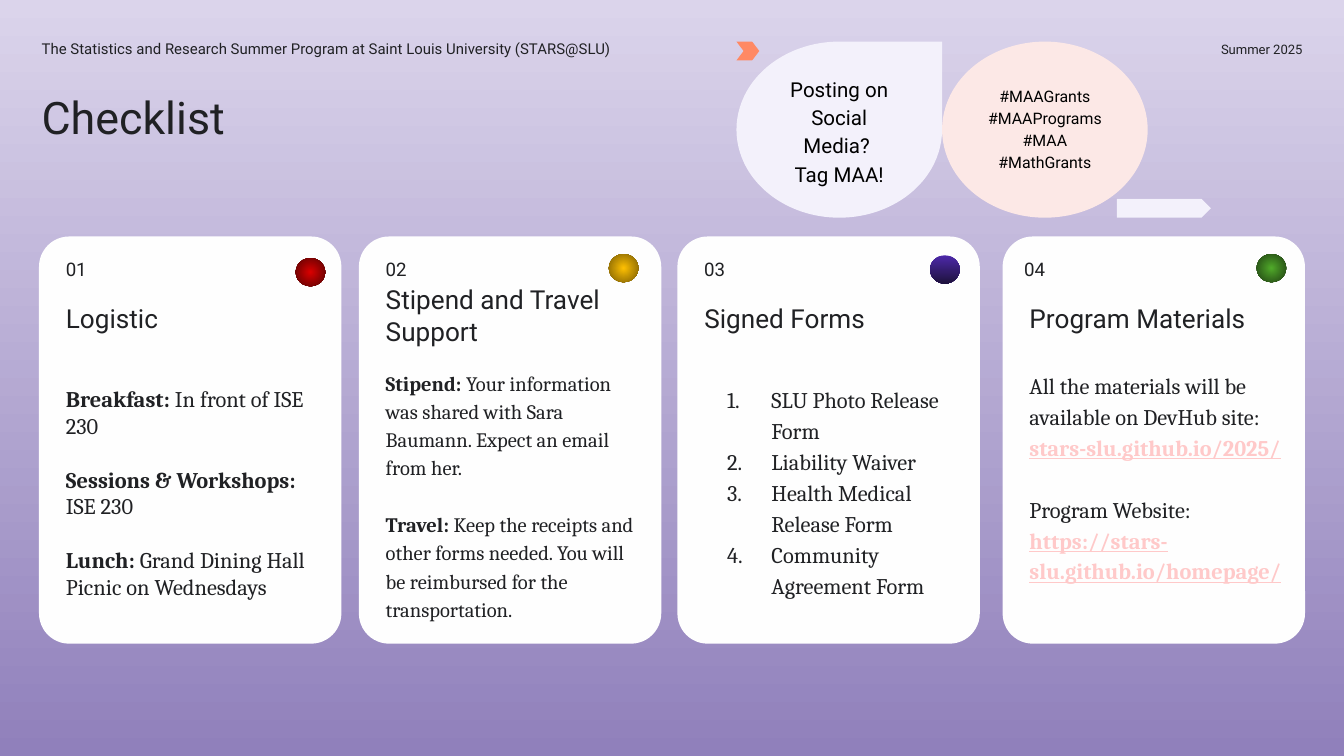
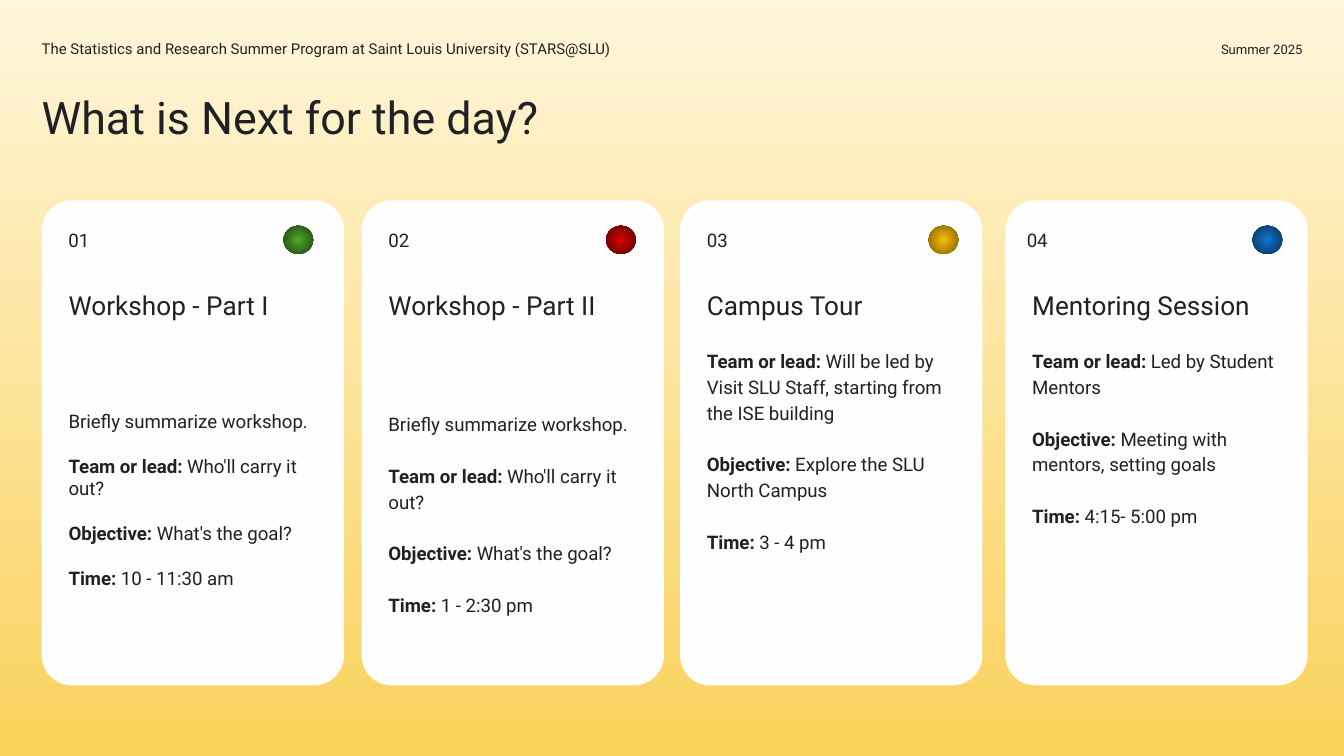
from lxml import etree
from pptx import Presentation
from pptx.dml.color import RGBColor
from pptx.enum.shapes import MSO_SHAPE
from pptx.enum.text import MSO_ANCHOR, PP_ALIGN
from pptx.oxml.ns import qn
from pptx.util import Inches, Pt

TOP, MIDDLE, BOTTOM = MSO_ANCHOR.TOP, MSO_ANCHOR.MIDDLE, MSO_ANCHOR.BOTTOM
LEFT, CENTER, RIGHT = PP_ALIGN.LEFT, PP_ALIGN.CENTER, PP_ALIGN.RIGHT
CARD, DOT = MSO_SHAPE.ROUNDED_RECTANGLE, MSO_SHAPE.OVAL
TEARDROP, PENTAGON, CHEVRON = MSO_SHAPE.TEAR, MSO_SHAPE.PENTAGON, MSO_SHAPE.CHEVRON

COLORS = {
    "ink": "202124", "black": "000000", "link": "FFC9C9", "card": "FEFEFE",
    "lavender": "F3F1FB", "blush": "FCE8E6", "coral": "FF8964",
}
GRADIENTS = {
    "purple page": ("DBD4EB", "9080BB"), "yellow page": ("FFF6DB", "FAD15C"),
    "red": ("DB0000", "540303"), "yellow": ("FFC102", "795C04"),
    "violet": ("4D29AA", "1E123D"), "green": ("51AB2A", "203E13"),
    "blue": ("1076D2", "093053"),
}
CARD_LEFTS = (0.29, 2.67, 5.04, 7.46)
CARD_WIDTH = 2.25
SIDE_INSETS = (0.2, 0, 0.2, 0)


def add_shape(slide, kind, box, fill, adjustment=None):
    shape = slide.shapes.add_shape(kind, *[Inches(value) for value in box])
    shape.shadow.inherit = False
    shape.line.fill.background()
    if adjustment is not None:
        shape.adjustments[0] = adjustment
    if fill in COLORS:
        shape.fill.solid()
        shape.fill.fore_color.rgb = RGBColor.from_string(COLORS[fill])
        return shape
    shape.fill.gradient()
    shape.fill.gradient_angle = 270
    for stop, color in zip(shape.fill.gradient_stops, GRADIENTS[fill]):
        stop.color.rgb = RGBColor.from_string(color)
    if fill != "violet":
        gradient = shape._element.spPr.find(qn("a:gradFill"))
        gradient.remove(gradient.find(qn("a:lin")))
        circle = etree.SubElement(gradient, qn("a:path"), {"path": "circle"})
        etree.SubElement(circle, qn("a:fillToRect"), {side: "50000" for side in "ltrb"})
    return shape


def add_text(slide, target, paragraphs, size, font="Roboto", color="ink", spacing=1.0,
             anchor=TOP, align=LEFT, insets=(0, 0, 0, 0), numbered=False):
    if isinstance(target, tuple):
        target = slide.shapes.add_textbox(*[Inches(value) for value in target])
    frame = target.text_frame
    frame.word_wrap = True
    frame.vertical_anchor = anchor
    frame.margin_left, frame.margin_top, frame.margin_right, frame.margin_bottom = [
        Inches(value) for value in insets]
    for index, (gap, runs) in enumerate(paragraphs):
        paragraph = frame.paragraphs[0] if index == 0 else frame.add_paragraph()
        paragraph.alignment = align
        paragraph.line_spacing = spacing
        if gap:
            paragraph.space_before = Pt(gap)
        if numbered:
            properties = paragraph._p.get_or_add_pPr()
            properties.set("marL", str(Inches(0.5)))
            properties.set("indent", str(Inches(-0.33)))
            bullet_color = etree.SubElement(properties, qn("a:buClr"))
            etree.SubElement(bullet_color, qn("a:srgbClr"), {"val": COLORS[color]})
            etree.SubElement(properties, qn("a:buAutoNum"), {"type": "arabicPeriod"})
        for text, style in runs:
            run = paragraph.add_run()
            run.text = text
            run.font.name = font
            run.font.size = Pt(size)
            run.font.bold = style in ("bold", "link")
            run.font.underline = style == "link"
            run.font.color.rgb = RGBColor.from_string(COLORS["link" if style == "link" else color])


checklist_cards = [
    {"title": ["Logistic"], "dot": ("red", 2.2, 1.92), "body": (2.65, CARD_WIDTH, 2.03),
     "size": 12, "spacing": 1.0, "anchor": MIDDLE, "paragraphs": [
         (0, [("Breakfast:", "bold"), (" In front of ISE 230", "")]),
         (14.5, [("Sessions & Workshops:", "bold"), (" ISE 230", "")]),
         (14.5, [("Lunch:", "bold"), (" Grand Dining Hall", "")]),
         (0, [("Picnic on Wednesdays", "")])]},
    {"title": ["Stipend and Travel", "Support"], "title_box": (2.07, 0.55),
     "dot": ("yellow", 4.53, 1.89), "body": (2.73, CARD_WIDTH, 1.94), "size": 11, "paragraphs": [
         (0, [("Stipend:", "bold"),
              (" Your information was shared with Sara Baumann. Expect an email from her.", "")]),
         (15.2, [("Travel:", "bold"),
                 (" Keep the receipts and other forms needed. You will be reimbursed "
                  "for the transportation.", "")])]},
    {"title": ["Signed Forms"], "dot": ("violet", 6.92, 1.9), "body": (2.69, CARD_WIDTH, 1.92),
     "size": 12, "anchor": MIDDLE, "numbered": True, "paragraphs": [
         (0, [(form, "")]) for form in (
             "SLU Photo Release Form", "Liability Waiver",
             "Health Medical Release Form", "Community Agreement Form")]},
    {"title": ["Program Materials"], "dot": ("green", 9.35, 1.89), "body": (2.53, 2.33, 2.03),
     "size": 12, "anchor": MIDDLE, "paragraphs": [
         (0, [("All the materials will be available on DevHub site: ", ""),
              ("stars-slu.github.io/2025/", "link")]),
         (16.5, [("Program Website: ", ""),
                 ("https://stars-slu.github.io/homepage/", "link")])]},
]

sessions = [
    ("Workshop - Part I", "green", 2.11, 3.05, 1.72, 1.0, 12, "Briefly summarize workshop.",
     "Who'll carry it out?", "What's the goal?", "10 - 11:30 am"),
    ("Workshop - Part II", "red", 4.51, 3.05, 1.72, 1.15, 13.8, "Briefly summarize workshop.",
     "Who'll carry it out?", "What's the goal?", "1 - 2:30 pm"),
    ("Campus Tour", "yellow", 6.91, 2.58, 1.78, 1.15, 13.8, None,
     "Will be led by Visit SLU Staff, starting from the ISE building",
     "Explore the SLU North Campus", "3 - 4 pm"),
    ("Mentoring Session", "blue", 9.32, 2.58, 2.19, 1.15, 13.8, None,
     "Led by Student Mentors", "Meeting with mentors, setting goals", "4:15- 5:00 pm"),
]
session_cards = []
for title, dot, dot_left, top, height, spacing, gap, summary, *details in sessions:
    lines = [[(summary, "")]] if summary else []
    for label, detail in zip(("Team or lead:", "Objective:", "Time:"), details):
        lines.append([(label, "bold"), (" " + detail, "")])
    session_cards.append({
        "title": [title], "dot": (dot, dot_left, 1.68),
        "body": (top, CARD_WIDTH, height), "size": 10, "spacing": spacing, "font": "Roboto",
        "paragraphs": [(gap if position else 0, runs) for position, runs in enumerate(lines)]})

pages = [
    {"title": "Checklist", "background": "purple page", "shift": 0, "card": (1.76, 3.03),
     "number": (1.92, 0.38), "title_box": (2.18, 0.38), "cards": checklist_cards},
    {"title": "What is Next for the day?", "background": "yellow page", "shift": 0.02,
     "card": (1.49, 3.61), "number": (1.7, 0.48), "title_box": (2.03, 0.48),
     "cards": session_cards},
]

presentation = Presentation()
presentation.slide_width = Inches(10)
presentation.slide_height = Inches(10) * 9 // 16

for page in pages:
    slide = presentation.slides.add_slide(presentation.slide_layouts[6])
    background = slide.background.fill
    background.gradient()
    background.gradient_angle = 270
    for stop, color in zip(background.gradient_stops, GRADIENTS[page["background"]]):
        stop.color.rgb = RGBColor.from_string(color)

    program = "The Statistics and Research Summer Program at Saint Louis University (STARS@SLU)"
    add_text(slide, (0.31, 0.31, 4.69, 0.21), [(0, [(program, "")])], 8, spacing=0.9)
    add_text(slide, (7.54, 0.31, 2.15, 0.21), [(0, [("Summer 2025", "")])], 7, align=RIGHT)
    add_text(slide, (0.31, 0.52, 6.2, 0.55), [(0, [(page["title"], "")])], 24,
             spacing=0.9, anchor=BOTTOM)

    for index, (card_left, card) in enumerate(zip(CARD_LEFTS, page["cards"])):
        left = card_left + page["shift"]
        card_top, card_height = page["card"]
        add_shape(slide, CARD, (left, card_top, CARD_WIDTH, card_height), "card", 0.1)

        number_left = left - 0.04 if index == 3 else left
        number_top, number_height = page["number"]
        add_text(slide, (number_left, number_top, 1.17, number_height),
                 [(0, [(f"{index + 1:02}", "")])], 10, insets=SIDE_INSETS)

        title_top, title_height = card.get("title_box", page["title_box"])
        add_text(slide, (left, title_top, CARD_WIDTH, title_height),
                 [(0, [(line, "")]) for line in card["title"]], 14,
                 anchor=MIDDLE, insets=SIDE_INSETS)

        add_text(slide, (left, *card["body"]), card["paragraphs"], card["size"],
                 font=card.get("font", "Cambria"), spacing=card.get("spacing", 1.15),
                 anchor=card.get("anchor", TOP), insets=SIDE_INSETS,
                 numbered=card.get("numbered", False))

        dot_fill, dot_left, dot_top = card["dot"]
        add_shape(slide, DOT, (dot_left, dot_top, 0.22, 0.21), dot_fill)

checklist = presentation.slides[0]
callout = add_shape(checklist, TEARDROP, (5.48, 0.31, 1.53, 1.31), "lavender", 1)
add_text(checklist, callout,
         [(0, [("Posting on Social Media? ", "")]), (0, [("Tag MAA!", "")])],
         11, color="black", spacing=1.15, anchor=MIDDLE, align=CENTER, insets=(0.1,) * 4)
add_shape(checklist, DOT, (7.01, 0.31, 1.53, 1.31), "blush")
hashtags = ("#MAAGrants", "#MAAPrograms", "#MAA", "#MathGrants")
add_text(checklist, (7.01, 0.5, 1.53, 0.9), [(0, [(tag, "")]) for tag in hashtags],
         8.5, color="black", spacing=1.15, anchor=MIDDLE, align=CENTER, insets=(0.1,) * 4)
add_shape(checklist, PENTAGON, (8.31, 1.48, 0.7, 0.14), "lavender", 0.5)
add_shape(checklist, CHEVRON, (5.48, 0.31, 0.17, 0.14), "coral", 0.38)

presentation.save("out.pptx")
